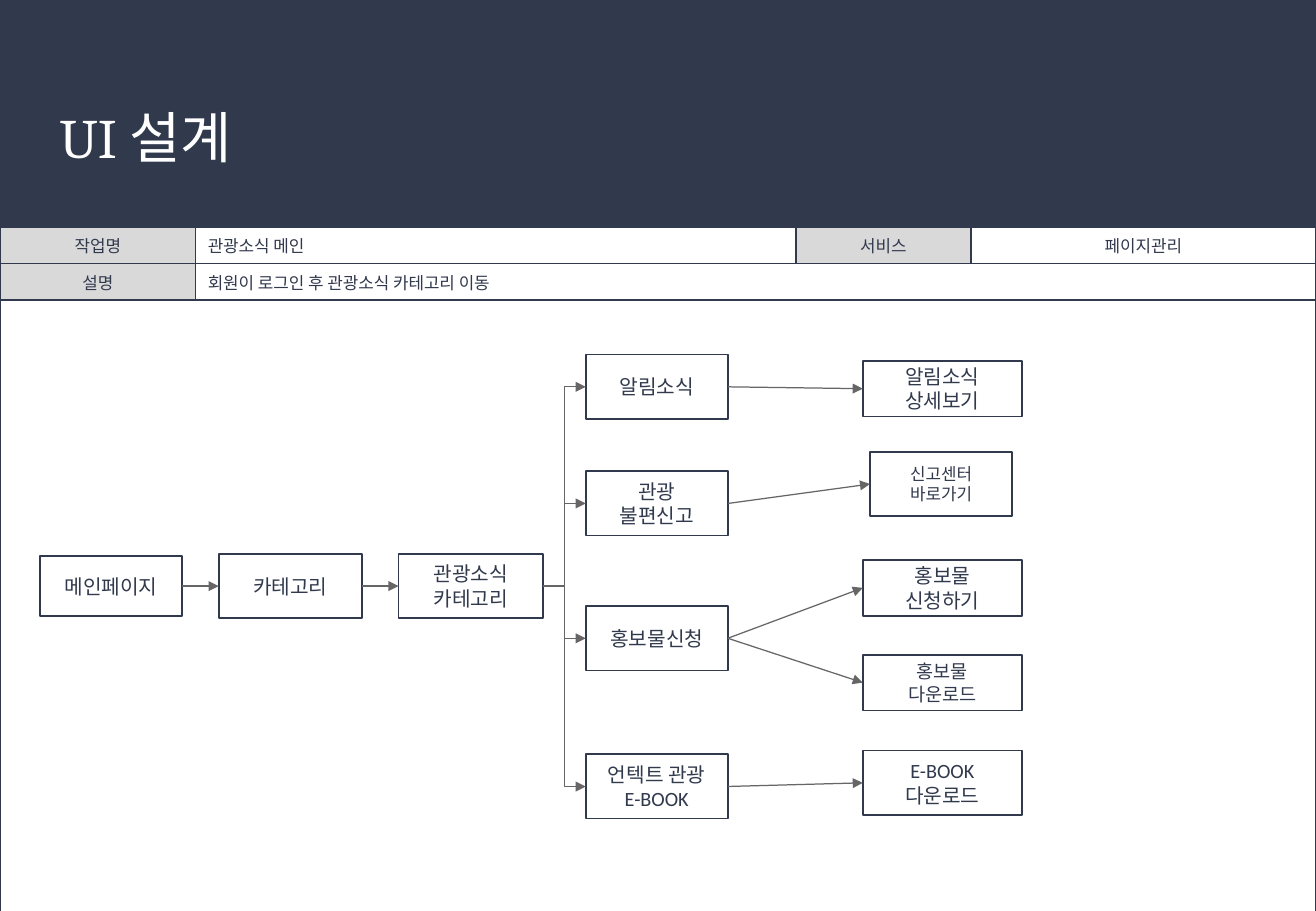
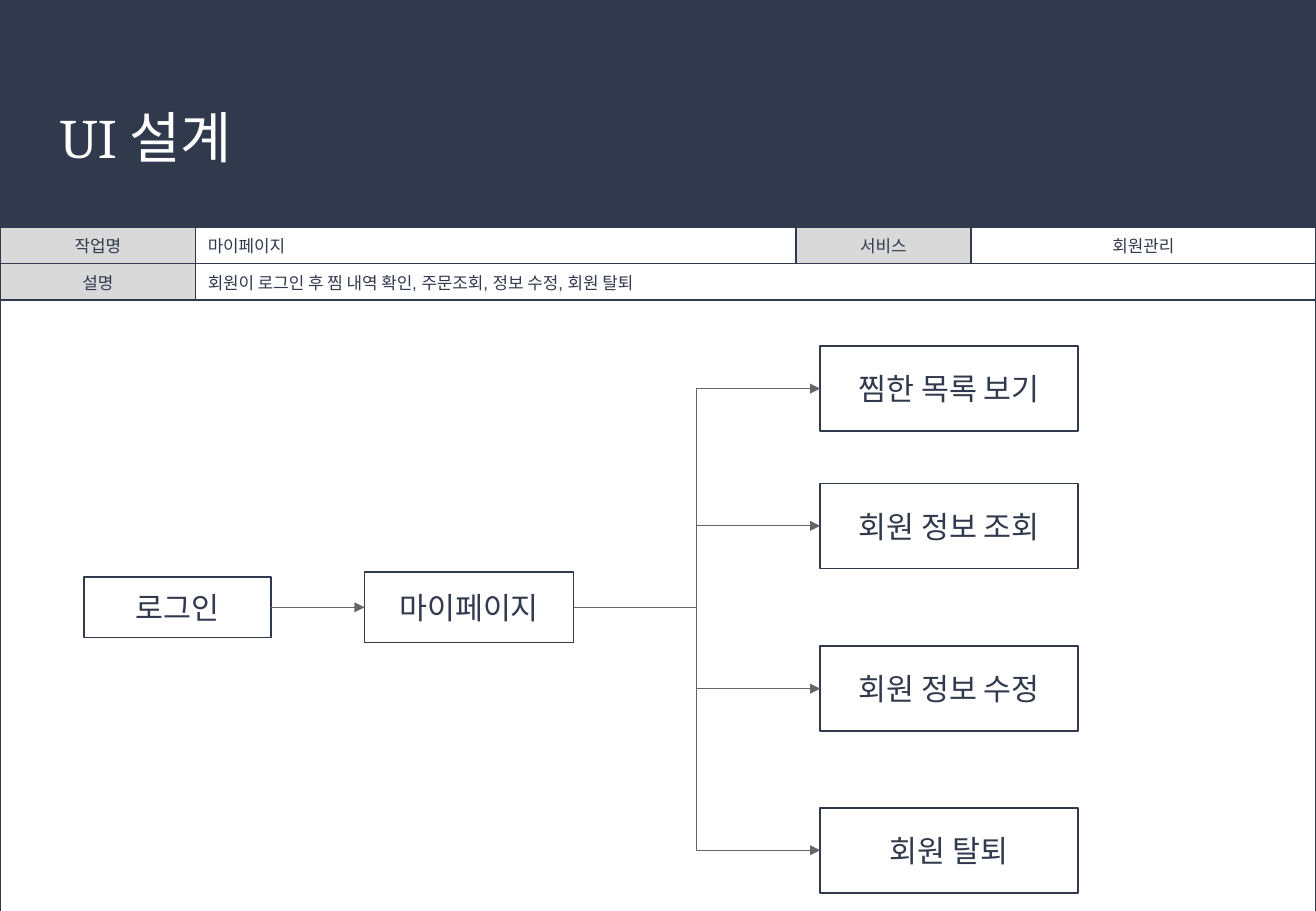
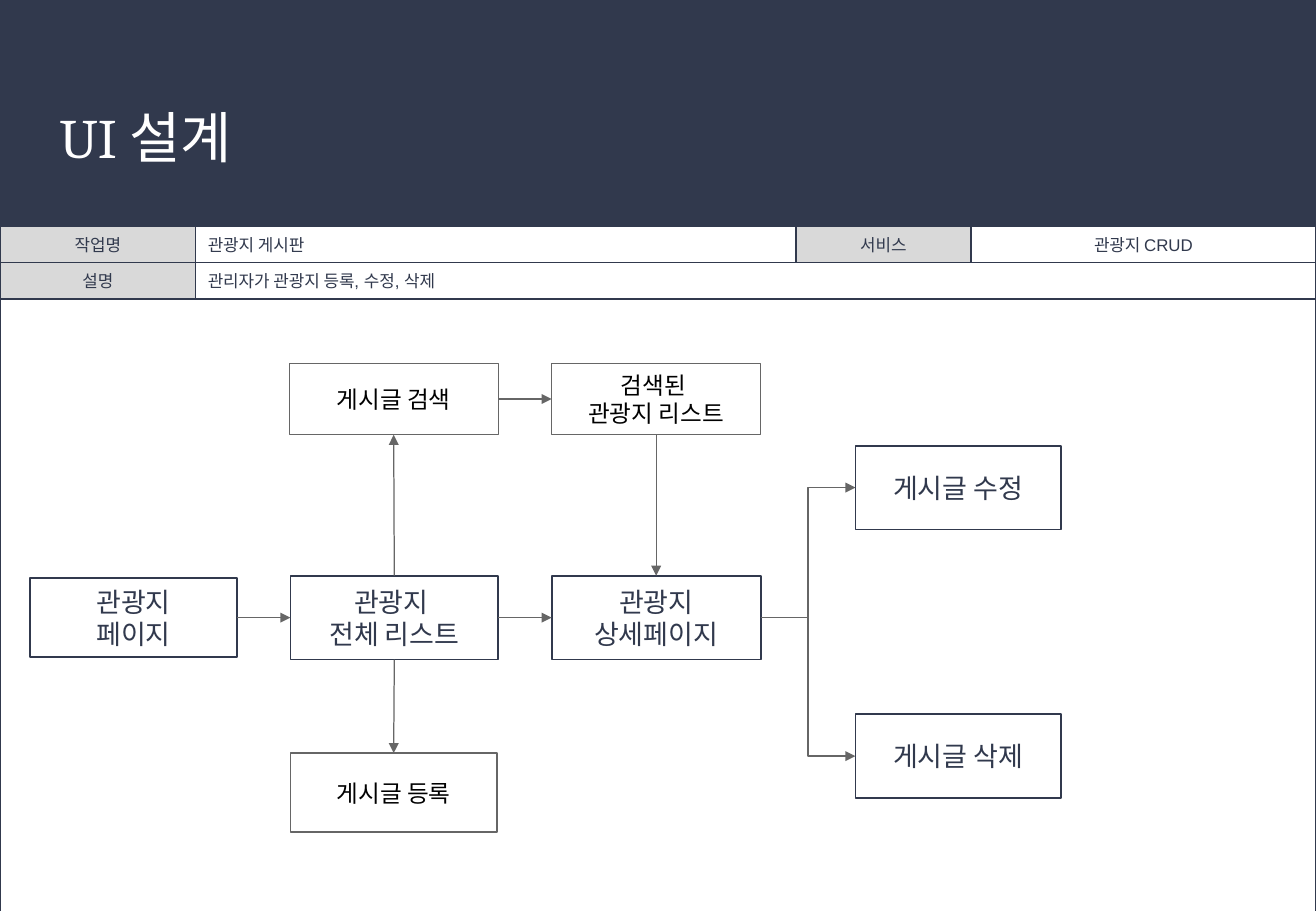
from lxml.etree import SubElement
from pptx import Presentation
from pptx.dml.color import RGBColor
from pptx.enum.shapes import MSO_CONNECTOR, MSO_SHAPE
from pptx.enum.text import MSO_ANCHOR, PP_ALIGN
from pptx.oxml import parse_xml
from pptx.oxml.ns import nsdecls, qn
from pptx.util import Emu, Pt

PX = 9144  # 100 px to the inch
WIDTH, HEIGHT = 1083, 750
NAVY = RGBColor(0x31, 0x39, 0x4D)
GRAY = RGBColor(0x66, 0x66, 0x66)
LABEL = RGBColor(0xD9, 0xD9, 0xD9)
WHITE = RGBColor(0xFF, 0xFF, 0xFF)
BLACK = RGBColor(0, 0, 0)

COLUMNS = (161, 494, 144, 284)
ROWS = (27, 26, 509)
TOP, LEFT, BOTTOM, RIGHT = range(4)
ELBOW, STRAIGHT = MSO_CONNECTOR.ELBOW, MSO_CONNECTOR.STRAIGHT

TITLE_FONT = {"name": "Cambria", "size": Pt(33), "bold": False}
TABLE_FONT = {"name": "Arial", "size": Pt(10), "bold": False}
PAGE_BOX = {"font": "Calibri", "color": NAVY, "line": NAVY, "weight": 1, "inset": 5, "fill": None}
POST_BOX = {"font": "Arial", "color": BLACK, "line": GRAY, "weight": 0.75, "inset": 10, "fill": WHITE}


def px(*lengths):
    return [Emu(length * PX) for length in lengths]


def assign(target, values):
    for name, value in values.items():
        setattr(target, name, value)


def margins(horizontal, vertical):
    across, down = px(horizontal, vertical)
    return {"margin_left": across, "margin_right": across, "margin_top": down, "margin_bottom": down}


class FlowDeck:
    """Holds the shared style and the slide being filled."""

    def __init__(self):
        self.deck = Presentation()
        self.deck.slide_width, self.deck.slide_height = px(WIDTH, HEIGHT)
        self.layout = self.deck.slide_layouts[5]
        self.page = None
        for holder in list(self.layout.placeholders):
            if holder.placeholder_format.idx:
                holder.element.getparent().remove(holder.element)

    def add_page(self, title):
        first = self.page is None
        self.page = self.deck.slides.add_slide(self.layout)
        if first:
            self.move_band_to_layout()
        holder = self.page.shapes.title
        assign(holder, dict(zip(("left", "top", "width", "height"), px(37, 73, 1009, 91))))
        frame = holder.text_frame
        assign(frame, {"vertical_anchor": MSO_ANCHOR.TOP, "word_wrap": True, **margins(12, 12)})
        frame.text = title
        para = frame.paragraphs[0]
        para.alignment = PP_ALIGN.LEFT
        self.format_font(para.font, TITLE_FONT, WHITE)

    def move_band_to_layout(self):
        """Draws the title band once, behind every slide."""
        band = self.page.shapes.add_shape(MSO_SHAPE.RECTANGLE, *px(0, 0, WIDTH, 186))
        band.shadow.inherit = False
        band.fill.solid()
        band.fill.fore_color.rgb = NAVY
        band.line.fill.background()
        self.layout.shapes.element.insert(2, band.element)

    def format_font(self, font, values, color):
        assign(font, values)
        font.color.rgb = color

    def add_summary(self, task, service, description, top=187):
        frame = self.page.shapes.add_table(3, 4, *px(0, top, WIDTH, sum(ROWS)))
        table = frame.table
        assign(table, {"first_row": False, "horz_banding": False})
        for column, width in zip(table.columns, px(*COLUMNS)):
            column.width = width
        for row, height in zip(table.rows, px(*ROWS)):
            row.height = height
        table.cell(1, 1).merge(table.cell(1, 3))
        table.cell(2, 0).merge(table.cell(2, 3))
        texts = (("작업명", task, "서비스", service), ("설명", description, "", ""), ("",) * 4)
        for row, line in enumerate(texts):
            for column, text in enumerate(line):
                is_label = text in ("작업명", "서비스", "설명")
                align = PP_ALIGN.LEFT if column == 1 else PP_ALIGN.CENTER
                self.fill_cell(table.cell(row, column), text, align, is_label)

    def fill_cell(self, cell, text, align, is_label):
        cell.text = text
        assign(cell, {"vertical_anchor": MSO_ANCHOR.MIDDLE, **margins(10, 5)})
        para = cell.text_frame.paragraphs[0]
        para.alignment = align
        self.format_font(para.font, TABLE_FONT, NAVY)
        properties = cell._tc.get_or_add_tcPr()
        for side in "LRTB":
            properties.append(parse_xml(
                f'<a:ln{side} {nsdecls("a")} w="{Pt(1)}"><a:solidFill>'
                f'<a:srgbClr val="{NAVY}"/></a:solidFill></a:ln{side}>'))
        if is_label:
            cell.fill.solid()
            cell.fill.fore_color.rgb = LABEL
        else:
            cell.fill.background()

    def add_box(self, text, left, top, width, height, size, style=PAGE_BOX):
        box = self.page.shapes.add_shape(MSO_SHAPE.RECTANGLE, *px(left, top, width, height))
        box.shadow.inherit = False
        if style["fill"] is None:
            box.fill.background()
        else:
            box.fill.solid()
            box.fill.fore_color.rgb = style["fill"]
        box.line.color.rgb = style["line"]
        box.line.width = Pt(style["weight"])
        frame = box.text_frame
        assign(frame, {"word_wrap": True, "vertical_anchor": MSO_ANCHOR.MIDDLE,
                       **margins(10, style["inset"])})
        frame.text = text
        for para in frame.paragraphs:
            para.alignment = PP_ALIGN.CENTER
            self.format_font(para.font, {"name": style["font"], "size": Pt(size)}, style["color"])
        return box

    def add_arrow(self, start, end, kind=ELBOW, sides=(RIGHT, LEFT)):
        arrow = self.page.shapes.add_connector(kind, *px(0, 0, 0, 0))
        arrow.begin_connect(start, sides[0])
        arrow.end_connect(end, sides[1])
        arrow.line.color.rgb = GRAY
        arrow.line.width = Pt(0.75)
        SubElement(arrow.line._get_or_add_ln(), qn("a:tailEnd"), type="triangle")
        SubElement(arrow.element.spPr, qn("a:effectLst"))

    def add_chain(self, *boxes):
        for start, end in zip(boxes, boxes[1:]):
            self.add_arrow(start, end)


def build_news(flow):
    flow.add_page("UI 설계")
    flow.add_summary("관광소식 메인", "페이지관리", "회원이 로그인 후 관광소식 카테고리 이동")
    main = flow.add_box("메인페이지", 33, 458, 117, 49, 12)
    category = flow.add_box("카테고리", 180, 456, 118, 53, 12)
    news = flow.add_box("관광소식\n카테고리", 328, 456, 119, 53, 12)
    flow.add_chain(main, category, news)
    branches = (
        ("알림소식", 292, [("알림소식\n상세보기", 710, 297, 131, 46, 12)]),
        ("관광\n불편신고", 388, [("신고센터\n바로가기", 716, 372, 117, 53, 10)]),
        ("홍보물신청", 499, [("홍보물\n신청하기", 710, 461, 131, 46, 12),
                        ("홍보물\n다운로드", 710, 539, 131, 46, 11)]),
        ("언텍트 관광\nE-BOOK", 621, [("E-BOOK\n다운로드", 710, 618, 131, 53, 12)]),
    )
    for text, top, details in branches:
        branch = flow.add_box(text, 482, top, 117, 53, 12)
        flow.add_arrow(news, branch)
        for detail in details:
            flow.add_arrow(branch, flow.add_box(*detail), STRAIGHT)


def build_my_page(flow):
    flow.add_page("UI 설계")
    flow.add_summary("마이페이지", "회원관리", "회원이 로그인 후 찜 내역 확인, 주문조회, 정보 수정, 회원 탈퇴")
    login = flow.add_box("로그인", 69, 475, 154, 50, 18)
    my_page = flow.add_box("마이페이지", 300, 471, 172, 58, 18)
    flow.add_chain(login, my_page)
    actions = (("찜한 목록 보기", 285), ("회원 정보 조회", 398), ("회원 정보 수정", 532), ("회원 탈퇴", 665))
    for text, top in actions:
        flow.add_arrow(my_page, flow.add_box(text, 675, top, 212, 70, 18))


def build_board(flow):
    flow.add_page("UI 설계")
    flow.add_summary("관광지 게시판", "관광지 CRUD", "관리자가 관광지 등록, 수정, 삭제", top=186)
    page = flow.add_box("관광지\n페이지", 25, 476, 170, 65, 16)
    places = flow.add_box("관광지 \n전체 리스트", 239, 474, 171, 69, 16)
    detail = flow.add_box("관광지\n상세페이지", 454, 474, 172, 69, 16)
    flow.add_chain(page, places, detail)
    for text, top in (("게시글 수정", 367), ("게시글 삭제", 588)):
        flow.add_arrow(detail, flow.add_box(text, 704, top, 169, 69, 16))
    search = flow.add_box("게시글 검색", 238, 299, 172, 59, 14, POST_BOX)
    found = flow.add_box("검색된 \n관광지 리스트", 454, 299, 172, 59, 14, POST_BOX)
    register = flow.add_box("게시글 등록", 239, 620, 170, 65, 14, POST_BOX)
    flow.add_arrow(places, search, STRAIGHT, (TOP, BOTTOM))
    flow.add_arrow(places, register, STRAIGHT, (BOTTOM, TOP))
    flow.add_arrow(search, found, STRAIGHT)
    flow.add_arrow(found, detail, STRAIGHT, (BOTTOM, TOP))


def main():
    flow = FlowDeck()
    for build in (build_news, build_my_page, build_board):
        build(flow)
    flow.deck.save("out.pptx")


if __name__ == "__main__":
    main()
